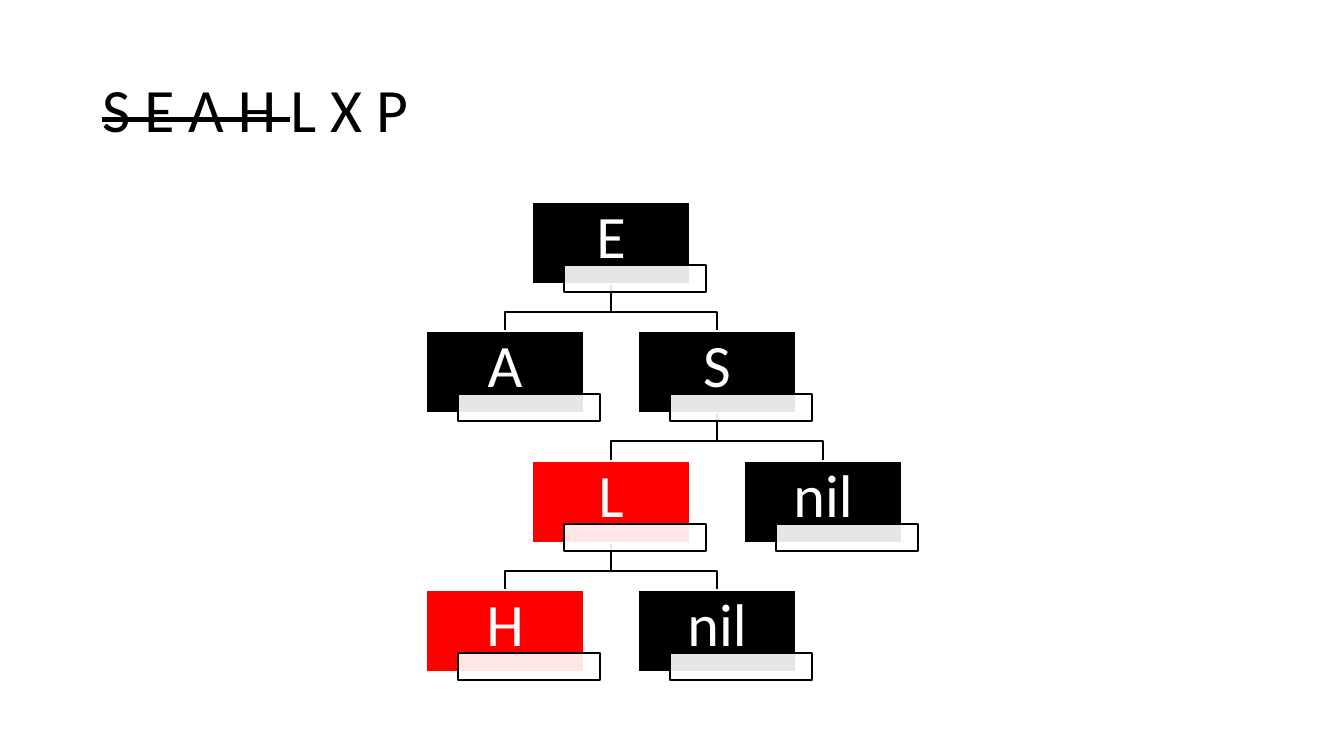
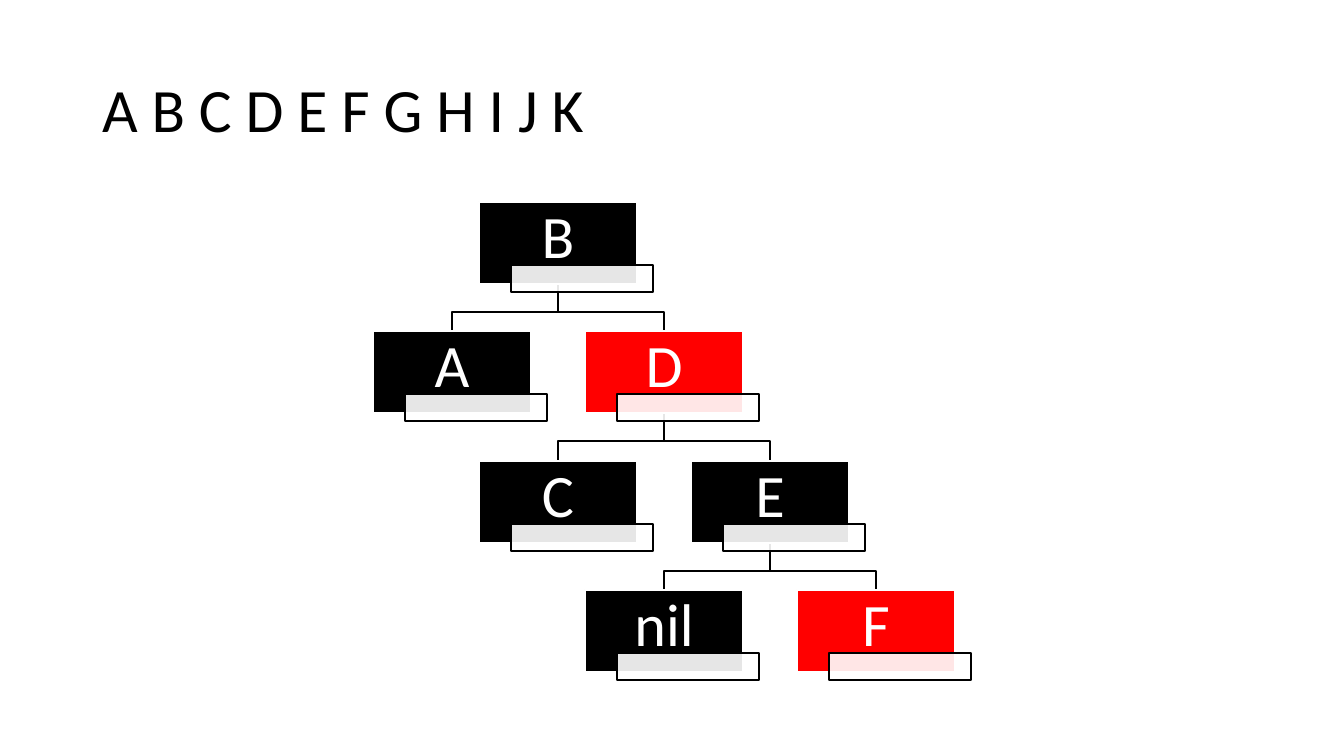
from lxml import etree
from pptx import Presentation
from pptx.dml.color import RGBColor
from pptx.enum.shapes import MSO_SHAPE
from pptx.enum.text import MSO_ANCHOR, MSO_AUTO_SIZE, PP_ALIGN
from pptx.oxml.ns import qn
from pptx.util import Pt

COLORS = {"black": "000000", "red": "FF0000", "white": "FFFFFF"}
FONT = "Calibri"
SCALE = 914400 / 100.8
TOP, ROW_STEP, HALF_STEP = 202, 129.4, 106
BOX_W, BOX_H = 158, 82
TAG_DX, TAG_DY, TAG_W, TAG_H = 32, 63, 142, 27
ELBOW_DROP = 28


def px(n):
    """Turn pixels into EMU."""
    return round(n * SCALE)


def rgb(name):
    """Look up a palette colour."""
    return RGBColor.from_string(COLORS[name])


def row_top(row):
    """Return the top of a tree level in pixels."""
    return round(TOP + row * ROW_STEP)


def style_paragraph(p, size, color, align):
    """Apply the shared font and line spacing."""
    p.alignment = align
    p.line_spacing = 0.9
    p.font.name = FONT
    p.font.size = Pt(size)
    p.font.color.rgb = rgb(color)


def add_title(s, done, rest):
    """Fill the title, striking through the keys already inserted."""
    sp = s.shapes.title
    sp.left, sp.top, sp.width, sp.height = px(92), px(40), px(1160), px(146)
    tf = sp.text_frame
    tf.auto_size = MSO_AUTO_SIZE.NONE
    tf.vertical_anchor = MSO_ANCHOR.MIDDLE
    p = tf.paragraphs[0]
    style_paragraph(p, 44, "black", PP_ALIGN.LEFT)
    if done:
        r = p.add_run()
        r.text = done
        r._r.get_or_add_rPr().set("strike", "sngStrike")
    p.add_run().text = rest


def add_rect(s, x, y, w, h, fill, line):
    """Add a flat rectangle with a thin outline."""
    sp = s.shapes.add_shape(MSO_SHAPE.RECTANGLE, px(x), px(y), px(w), px(h))
    sp.shadow.inherit = False
    sp.fill.solid()
    sp.fill.fore_color.rgb = rgb(fill)
    sp.line.color.rgb = rgb(line)
    sp.line.width = Pt(1)
    return sp


def add_node(s, cx, row, label, color):
    """Add a labelled node and its translucent tag."""
    x, y = cx - BOX_W / 2, row_top(row)
    sp = add_rect(s, x, y, BOX_W, BOX_H, color, "white")
    tf = sp.text_frame
    tf.word_wrap = True
    tf.vertical_anchor = MSO_ANCHOR.MIDDLE
    tf.margin_left = tf.margin_top = tf.margin_right = px(3)
    tf.margin_bottom = px(11)
    p = tf.paragraphs[0]
    p.text = label
    style_paragraph(p, 43, "white", PP_ALIGN.CENTER)
    tag = add_rect(s, x + TAG_DX, y + TAG_DY, TAG_W, TAG_H, "white", "black")
    clr = tag._element.spPr.find(qn("a:solidFill"))[0]
    etree.SubElement(clr, qn("a:alpha")).set("val", "90000")


def add_branch(s, parent_x, child_x, row):
    """Add an elbow line from a parent down to its child."""
    y = row_top(row) + BOX_H
    points = [(parent_x, y + ELBOW_DROP), (child_x, y + ELBOW_DROP),
              (child_x, row_top(row + 1))]
    fb = s.shapes.build_freeform(px(parent_x), px(y))
    fb.add_line_segments([(px(a), px(b)) for a, b in points], close=False)
    sp = fb.convert_to_shape()
    sp.shadow.inherit = False
    sp.fill.background()
    sp.line.color.rgb = rgb("black")
    sp.line.width = Pt(1)


def walk(tree, cx, row=0):
    """Yield each node with its centre, level and child centres."""
    label, color, *children = tree
    centres = [cx - HALF_STEP, cx + HALF_STEP][:len(children)]
    yield cx, row, label, color, centres
    for child, child_x in zip(children, centres):
        yield from walk(child, child_x, row + 1)


def add_tree(s, tree, root_x):
    """Draw the branches, then the nodes over them."""
    nodes = list(walk(tree, root_x))
    for cx, row, _, _, centres in nodes:
        for child_x in centres:
            add_branch(s, cx, child_x, row)
    for cx, row, label, color, _ in nodes:
        add_node(s, cx, row, label, color)


def main():
    """Build both red-black tree slides."""
    prs = Presentation()
    prs.slide_width, prs.slide_height = px(1344), px(756)
    search_tree = ("E", "black",
                   ("A", "black"),
                   ("S", "black",
                    ("L", "red", ("H", "red"), ("nil", "black")),
                    ("nil", "black")))
    alphabet_tree = ("B", "black",
                     ("A", "black"),
                     ("D", "red",
                      ("C", "black"),
                      ("E", "black", ("nil", "black"), ("F", "red"))))
    slides = [("S E A H ", "L X P", search_tree, 611),
              ("", "A B C D E F G H I J K", alphabet_tree, 558)]
    for done, rest, tree, root_x in slides:
        s = prs.slides.add_slide(prs.slide_layouts[5])
        add_title(s, done, rest)
        add_tree(s, tree, root_x)
    prs.save("out.pptx")


main()
